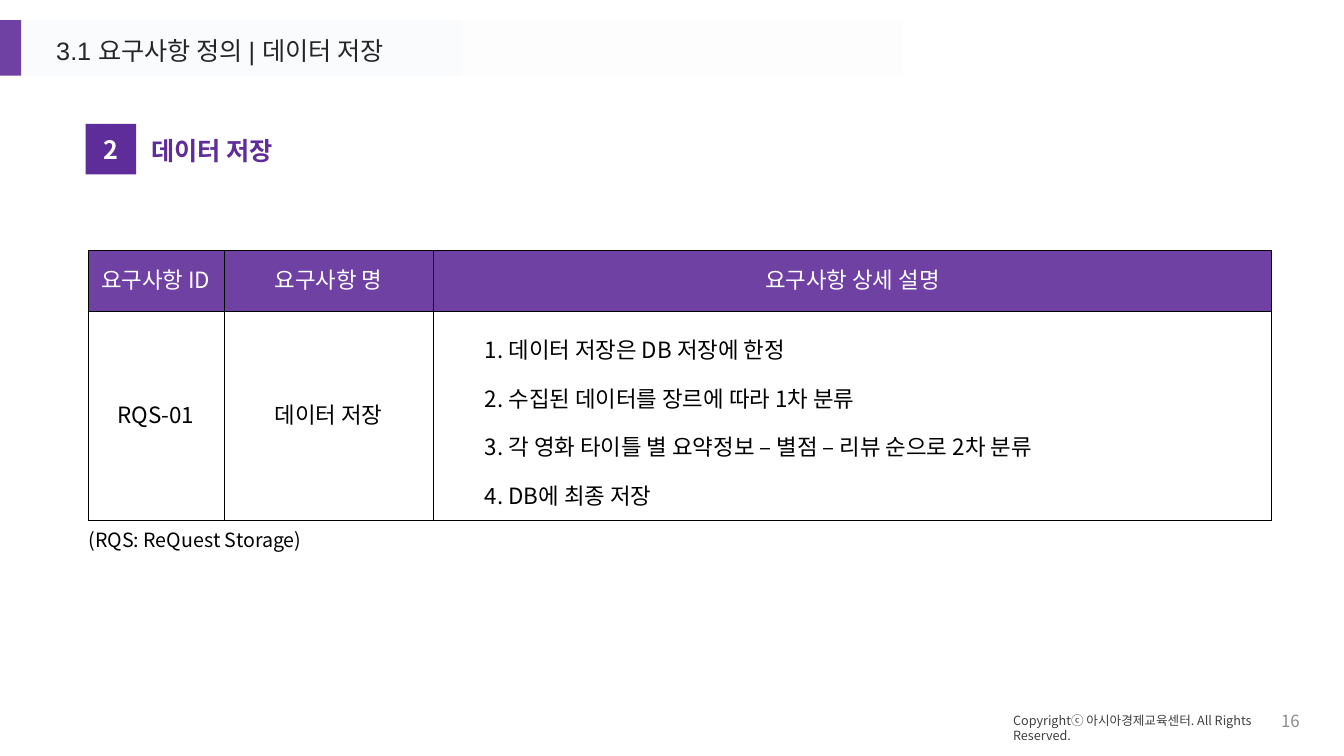
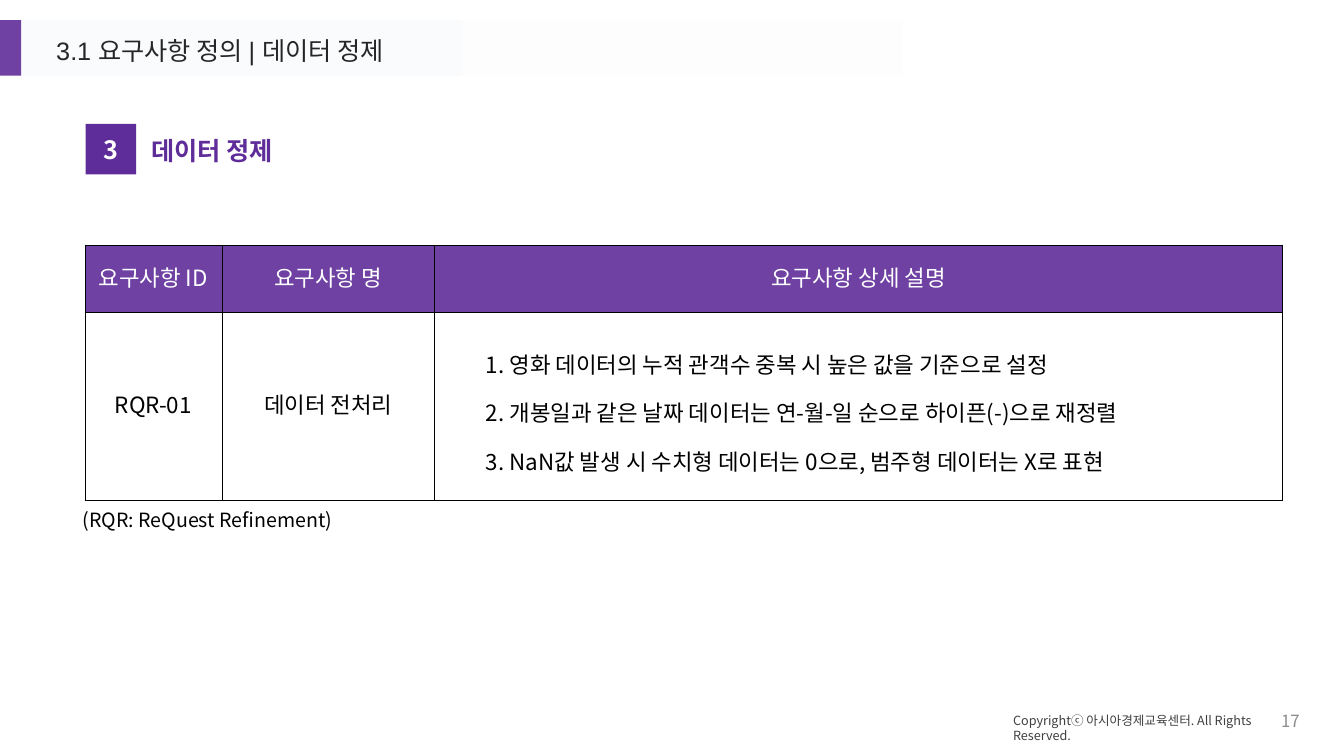
from lxml.etree import SubElement
from pptx import Presentation
from pptx.dml.color import RGBColor
from pptx.enum.shapes import MSO_SHAPE
from pptx.enum.text import MSO_ANCHOR, PP_ALIGN
from pptx.oxml.ns import qn
from pptx.util import Inches, Pt

SANS = "Noto Sans CJK KR"
TITLE_FONT = "Arial"
PURPLE = "6F41A2"
DEEP_PURPLE = "5F2D9A"
WHITE = "FFFFFF"
BLACK = "000000"
BAND_TINT = "FAFBFD"
TITLE_GRAY = "262626"
FOOTER_GRAY = "404040"
NUMBER_GRAY = "8C8C8C"

HEADERS = ["요구사항 ID", "요구사항 명", "요구사항 상세 설명"]
COPYRIGHT = "Copyrightⓒ 아시아경제교육센터. All Rights Reserved."


def color(hex_value):
    return RGBColor.from_string(hex_value)


class RequirementDeck:
    def __init__(self):
        self.presentation = Presentation()
        self.presentation.slide_width = Inches(13.33)
        self.presentation.slide_height = Inches(7.5)
        self.slide = None

    def style(self, paragraph, size, text_color, bold=False, font=SANS,
              align=PP_ALIGN.LEFT):
        paragraph.alignment = align
        paragraph.font.name = font
        paragraph.font.size = Pt(size)
        paragraph.font.bold = bold
        paragraph.font.color.rgb = color(text_color)

    def text(self, content, left, top, width, height, size, text_color,
             anchor=MSO_ANCHOR.TOP, line_spacing=None, **style):
        box = self.slide.shapes.add_textbox(
            Inches(left), Inches(top), Inches(width), Inches(height))
        frame = box.text_frame
        frame.word_wrap = True
        frame.vertical_anchor = anchor
        paragraph = frame.paragraphs[0]
        paragraph.text = content
        paragraph.line_spacing = line_spacing
        self.style(paragraph, size, text_color, **style)

    def rectangle(self, left, top, width, height, fill=None):
        shape = self.slide.shapes.add_shape(
            MSO_SHAPE.RECTANGLE,
            Inches(left), Inches(top), Inches(width), Inches(height))
        shape.shadow.inherit = False
        shape.line.fill.background()
        if fill:
            shape.fill.solid()
            shape.fill.fore_color.rgb = color(fill)
        return shape

    def title_band(self, title):
        band = self.rectangle(0.21, 0.2, 13.12, 0.55)
        band.fill.gradient()
        band.fill.gradient_angle = 0
        for stop, stop_color in zip(band.fill.gradient_stops, (BAND_TINT, WHITE)):
            stop.color.rgb = color(stop_color)
        self.rectangle(0, 0.2, 0.21, 0.55, PURPLE)
        self.text(title, 0.46, 0.33, 4.94, 0.39, 18, TITLE_GRAY,
                  font=TITLE_FONT, line_spacing=0.9)

    def footer(self, page):
        self.text(COPYRIGHT, 9.95, 7.02, 3.06, 0.25, 9, FOOTER_GRAY)
        self.text(str(page), 12.37, 6.95, 0.62, 0.4, 12, NUMBER_GRAY,
                  anchor=MSO_ANCHOR.MIDDLE, align=PP_ALIGN.RIGHT)

    def section_heading(self, number, heading):
        badge = self.rectangle(0.85, 1.23, 0.5, 0.5, DEEP_PURPLE)
        badge.text_frame.vertical_anchor = MSO_ANCHOR.MIDDLE
        paragraph = badge.text_frame.paragraphs[0]
        paragraph.text = str(number)
        self.style(paragraph, 18, WHITE, bold=True, align=PP_ALIGN.CENTER)
        self.text(heading, 1.4, 1.29, 2.84, 0.4, 18, DEEP_PURPLE, bold=True)

    def cell_borders(self, cell):
        properties = cell._tc.get_or_add_tcPr()
        for side in ("a:lnL", "a:lnR", "a:lnT", "a:lnB"):
            line = SubElement(properties, qn(side), w=str(Pt(0.25)))
            fill = SubElement(line, qn("a:solidFill"))
            SubElement(fill, qn("a:srgbClr"), val=BLACK)

    def cell(self, cell, lines, is_header, is_list):
        self.cell_borders(cell)
        if is_header:
            cell.fill.solid()
            cell.fill.fore_color.rgb = color(PURPLE)
        else:
            cell.fill.background()
        cell.margin_left = cell.margin_right = cell.margin_top = Inches(0.01)
        cell.margin_bottom = Inches(0.05)
        cell.vertical_anchor = MSO_ANCHOR.MIDDLE
        cell.text = "\n".join(lines)
        for paragraph in cell.text_frame.paragraphs:
            if is_list:
                paragraph.level = 1
                paragraph.line_spacing = 1.5
                properties = paragraph._p.get_or_add_pPr()
                properties.set("marL", str(Inches(0.5)))
                properties.set("indent", "0")
            self.style(paragraph, 16, WHITE if is_header else BLACK,
                       align=PP_ALIGN.LEFT if is_list else PP_ALIGN.CENTER)

    def requirement_table(self, left, top, widths, heights, code, name, details):
        table = self.slide.shapes.add_table(
            2, 3, Inches(left), Inches(top),
            Inches(sum(widths)), Inches(sum(heights))).table
        table.first_row = table.horz_banding = False
        for column, width in zip(table.columns, widths):
            column.width = Inches(width)
        for row, height in zip(table.rows, heights):
            row.height = Inches(height)
        rows = [[[header] for header in HEADERS], [[code], [name], details]]
        for row_index, row in enumerate(rows):
            for column_index, lines in enumerate(row):
                is_header = row_index == 0
                self.cell(table.cell(row_index, column_index), lines, is_header,
                          is_list=not is_header and column_index == 2)

    def requirement_slide(self, page, number, heading, table, note, note_place):
        self.slide = self.presentation.slides.add_slide(
            self.presentation.slide_layouts[6])
        self.title_band(f"3.1 요구사항 정의 | {heading}")
        self.section_heading(number, heading)
        self.requirement_table(**table)
        self.text(note, *note_place, 14, BLACK)
        self.footer(page)


def main():
    deck = RequirementDeck()
    deck.requirement_slide(
        16, 2, "데이터 저장",
        dict(left=0.87, top=2.48, widths=(1.35, 2.08, 8.31), heights=(0.61, 2.07),
             code="RQS-01", name="데이터 저장",
             details=["1. 데이터 저장은 DB 저장에 한정",
                      "2. 수집된 데이터를 장르에 따라 1차 분류",
                      "3. 각 영화 타이틀 별 요약정보 – 별점 – 리뷰 순으로 2차 분류",
                      "4. DB에 최종 저장"]),
        "(RQS: ReQuest Storage)", (0.78, 5.19, 2.73, 0.34))
    deck.requirement_slide(
        17, 3, "데이터 정제",
        dict(left=0.84, top=2.43, widths=(1.36, 2.11, 8.41), heights=(0.67, 1.86),
             code="RQR-01", name="데이터 전처리",
             details=["1. 영화 데이터의 누적 관객수 중복 시 높은 값을 기준으로 설정",
                      "2. 개봉일과 같은 날짜 데이터는 연-월-일 순으로 하이픈(-)으로 재정렬",
                      "3. NaN값 발생 시 수치형 데이터는 0으로, 범주형 데이터는 X로 표현"]),
        "(RQR: ReQuest Refinement)", (0.72, 4.99, 3.03, 0.34))
    deck.presentation.save("out.pptx")


if __name__ == "__main__":
    main()
